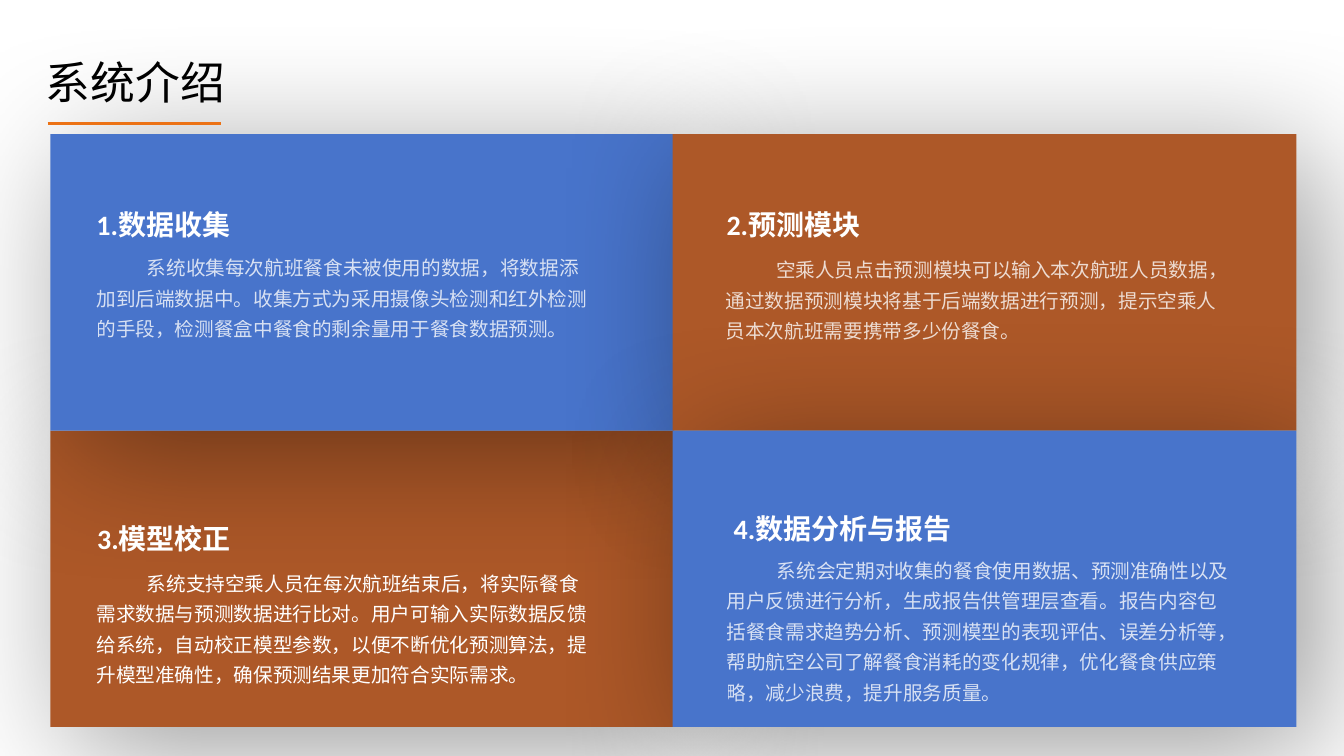
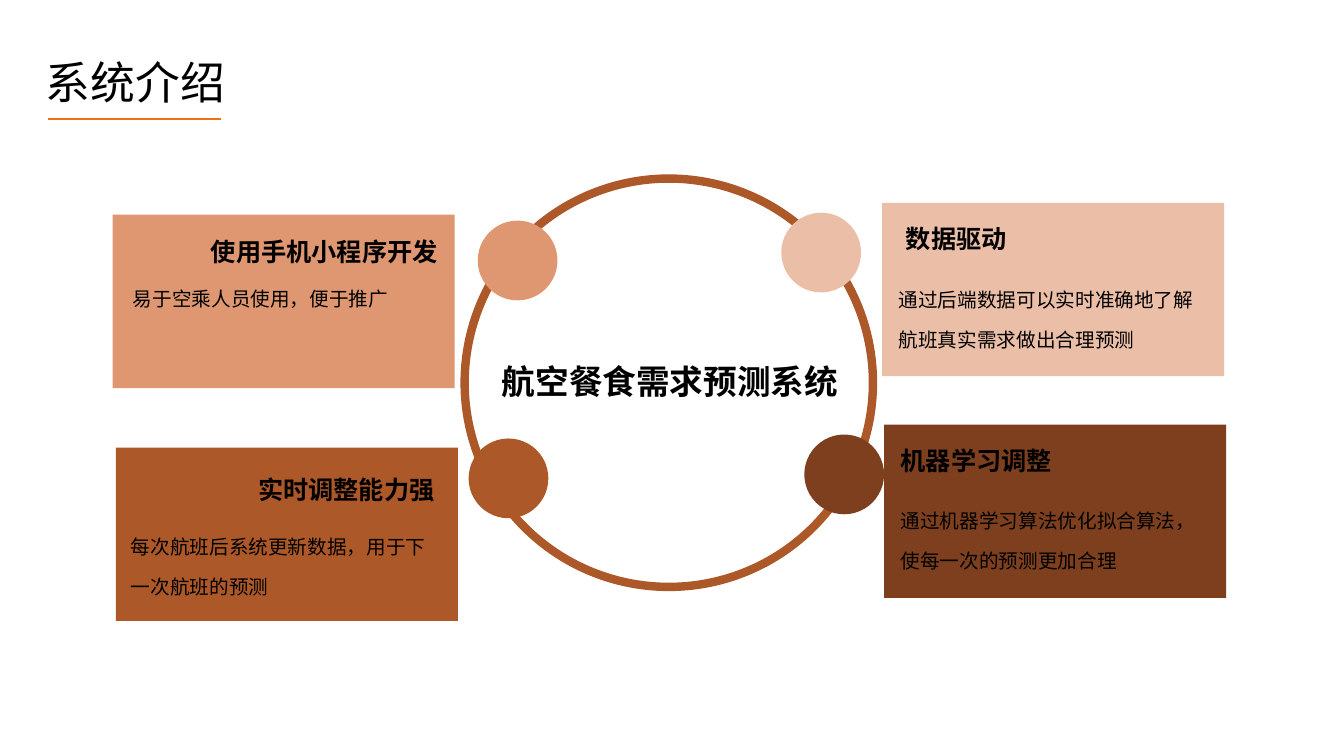
"""Build two slides that introduce the airline meal forecasting system."""
from lxml import etree
from pptx import Presentation
from pptx import util as u
from pptx.dml.color import RGBColor
from pptx.enum import shapes, text
from pptx.oxml import ns

BLACK, WHITE, ORANGE = "000000", "FFFFFF", "EC7215"
BLUE, RUST, BROWN, TAN, PEACH = "4874CB", "AD5828", "7D3F1D", "DE9770", "EBBFA7"
RECT, OVAL = shapes.MSO_SHAPE.RECTANGLE, shapes.MSO_SHAPE.OVAL
LEFT, RIGHT = text.PP_ALIGN.LEFT, text.PP_ALIGN.RIGHT


def add_shape(s, kind, x, y, w, h, fill=None):
    sp = s.shapes.add_shape(kind, u.Cm(x), u.Cm(y), u.Cm(w), u.Cm(h))
    sp.shadow.inherit = False
    sp.line.fill.background()
    if fill:
        sp.fill.solid()
        sp.fill.fore_color.rgb = RGBColor.from_string(fill)
    else:
        sp.fill.background()
    return sp


def add_text(s, x, y, w, h, words, size, color, font="Calibri", bold=False,
             spacing=None, align=LEFT):
    tf = s.shapes.add_textbox(u.Cm(x), u.Cm(y), u.Cm(w), u.Cm(h)).text_frame
    tf.word_wrap = True
    p = tf.paragraphs[0]
    p.text = words
    p.alignment = align
    p.line_spacing = spacing
    p.font.name = font
    p.font.size = u.Pt(size)
    p.font.bold = bold
    p.font.color.rgb = RGBColor.from_string(color)
    return p


prs = Presentation()
prs.slide_width, prs.slide_height = u.Cm(33.87), u.Cm(19.05)
modules, features = [prs.slides.add_slide(prs.slide_layouts[6]) for _ in range(2)]

card_w, card_h = 15.72, 7.47
for col, row, fill in [(0, 1, RUST), (0, 0, BLUE), (1, 0, RUST), (1, 1, BLUE)]:
    sp = add_shape(modules, RECT, 1.27 + col * 15.68, 3.38 + row * card_h, card_w, card_h, fill)
    effects = sp._element.spPr.find(ns.qn("a:effectLst"))
    shadow = etree.SubElement(effects, ns.qn("a:outerShdw"), blurRad=str(u.Pt(100)),
                              dist=str(u.Pt(22)), dir=str(45 * 60000), rotWithShape="0")
    color = etree.SubElement(shadow, ns.qn("a:srgbClr"), val=BLACK)
    etree.SubElement(color, ns.qn("a:alpha"), val="40000")

module_texts = [
    (2.18, 4.85, "1.数据收集", 2.18, 6.15, 13, "Arial", 78,
     "系统收集每次航班餐食未被使用的数据，将数据添加到后端数据中。收集方式为采用摄像头检测和红外检测的手段，检测餐盒中餐食的剩余量用于餐食数据预测。"),
    (18.06, 4.85, "2.预测模块", 18.04, 6.2, 13, "Arial", 78,
     "空乘人员点击预测模块可以输入本次航班人员数据，通过数据预测模块将基于后端数据进行预测，提示空乘人员本次航班需要携带多少份餐食。"),
    (2.2, 12.75, "3.模型校正", 2.18, 14.1, 13, "Calibri", 100,
     "系统支持空乘人员在每次航班结束后，将实际餐食需求数据与预测数据进行比对。用户可输入实际数据反馈给系统，自动校正模型参数，以便不断优化预测算法，提升模型准确性，确保预测结果更加符合实际需求。"),
    (18.24, 12.5, "4.数据分析与报告", 18.06, 13.77, 13.26, "Arial", 78,
     "系统会定期对收集的餐食使用数据、预测准确性以及用户反馈进行分析，生成报告供管理层查看。报告内容包括餐食需求趋势分析、预测模型的表现评估、误差分析等，帮助航空公司了解餐食消耗的变化规律，优化餐食供应策略，减少浪费，提升服务质量。"),
]
for head_x, head_y, head, x, y, w, font, alpha, body in module_texts:
    add_text(modules, head_x, head_y, 7.5, 1.3, head, 20, WHITE, bold=True, spacing=1.3)
    p = add_text(modules, x, y, w, 2.6, body, 14, WHITE, font, spacing=1.3)
    p._p.get_or_add_pPr().set("indent", str(u.Cm(1.27)))
    if alpha < 100:
        color = p._p.find(".//" + ns.qn("a:srgbClr"))
        etree.SubElement(color, ns.qn("a:alpha"), val=str(alpha * 1000))

ring = add_shape(features, OVAL, 11.71, 4.5, 10.29, 10.29)
ring.line.color.rgb = RGBColor.from_string(RUST)
ring.line.width = u.Pt(6)

feature_cards = [
    (TAN, 2.84, 5.41, 12.04, 5.56, "使用手机小程序开发", 3, 5.84, RIGHT,
     "易于空乘人员使用，便于推广", 3.1, 6.68),
    (RUST, 2.92, 11.28, 11.81, 11.05, "实时调整能力强", 2.92, 11.84, RIGHT,
     "每次航班后系统更新数据，用于下一次航班的预测", 3.05, 12.95),
    (PEACH, 22.23, 5.11, 19.69, 5.36, "数据驱动", 22.58, 5.51, LEFT,
     "通过后端数据可以实时准确地了解航班真实需求做出合理预测", 22.4, 6.71),
    (BROWN, 22.28, 10.7, 20.27, 10.95, "机器学习调整", 22.45, 11.1, LEFT,
     "通过机器学习算法优化拟合算法，使每一次的预测更加合理", 22.45, 12.29),
]
for fill, x, y, dot_x, dot_y, head, head_x, head_y, align, body, body_x, body_y in feature_cards:
    add_shape(features, RECT, x, y, 8.62, 4.37, fill)
    add_shape(features, OVAL, dot_x, dot_y, 2.01, 2.01, fill)
    add_text(features, head_x, head_y, 8.28, 0.94, head, 18, BLACK, bold=True, align=align)
    add_text(features, body_x, body_y, 8.28, 2.49, body, 14, BLACK, spacing=1.7)
add_text(features, 12.4, 8.97, 9.2, 0.94, "航空餐食需求预测系统", 24, BLACK, "Arial", bold=True)

for s, rule_y in [(modules, 3.12), (features, 3)]:
    add_text(s, 0.91, 0.84, 13.16, 2.03, "系统介绍", 32, BLACK, "Arial", spacing=1.3)
    rule = s.shapes.add_connector(shapes.MSO_CONNECTOR.STRAIGHT,
                                  u.Cm(1.2), u.Cm(rule_y), u.Cm(5.56), u.Cm(rule_y))
    rule.line.color.rgb = RGBColor.from_string(ORANGE)
    rule.line.width = u.Pt(2)
    etree.SubElement(rule._element.spPr, ns.qn("a:effectLst"))

prs.save("out.pptx")
